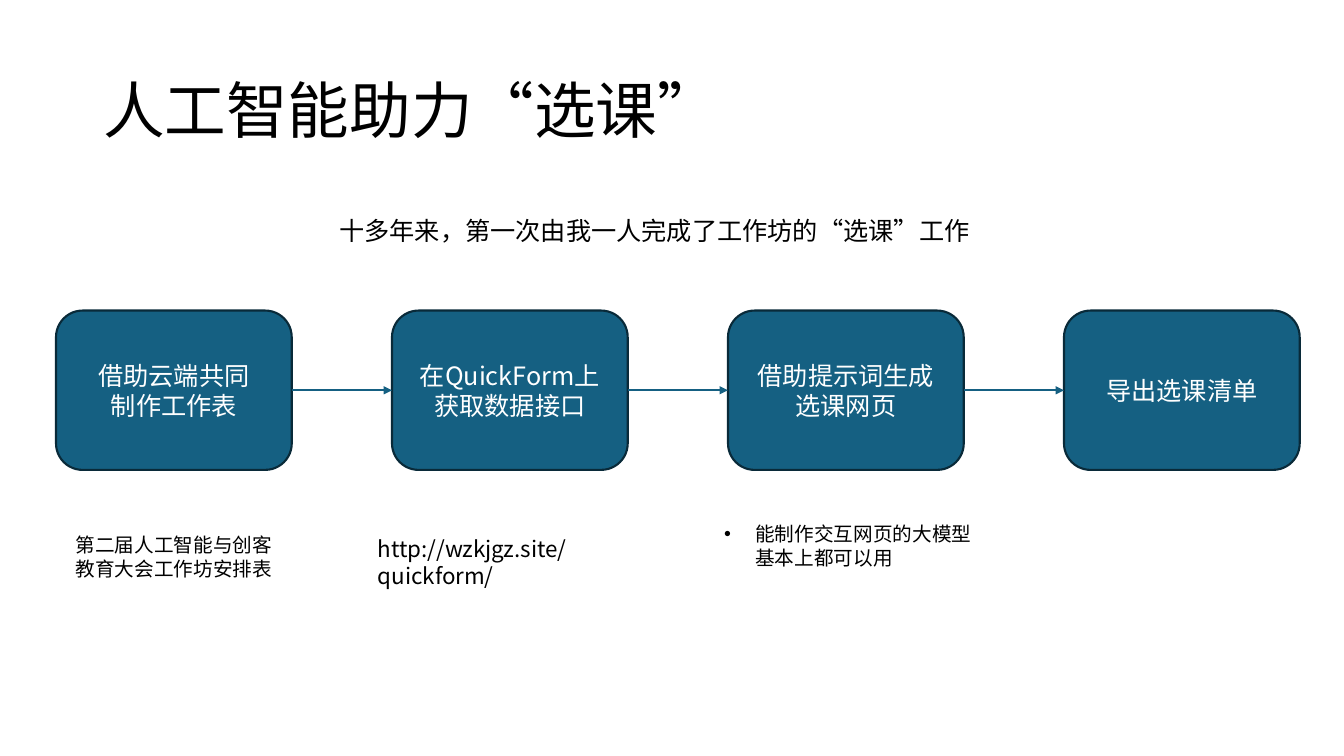
"""Build a slide showing the four steps of AI-assisted course selection."""
import lxml.etree
import pptx
import pptx.dml.color
import pptx.enum.shapes
import pptx.enum.text
import pptx.oxml.ns
import pptx.util

COLORS = {"fill": "156082", "outline": "092A39", "light": "FFFFFF", "dark": "000000"}
ALIGN = pptx.enum.text.PP_ALIGN
ANCHOR = pptx.enum.text.MSO_ANCHOR
FIT = pptx.enum.text.MSO_AUTO_SIZE


def color(name):
    return pptx.dml.color.RGBColor.from_string(COLORS[name])


def add_element(parent, tag, **attributes):
    return lxml.etree.SubElement(parent, pptx.oxml.ns.qn(tag), **attributes)


class SlideBuilder:
    """Places styled elements on a grid of 24 columns and 24 rows."""

    font_name = "Noto Sans CJK SC"
    divisions = 24
    line_width = pptx.util.Pt(1.5)

    def __init__(self, presentation):
        self.column = presentation.slide_width / self.divisions
        self.row = presentation.slide_height / self.divisions
        self.slide = presentation.slides.add_slide(presentation.slide_layouts[1])

    def area(self, left, top, width, height):
        return (round(left * self.column), round(top * self.row),
                round(width * self.column), round(height * self.row))

    def add_text(self, shape, lines, size, ink="dark", align=ALIGN.LEFT, anchor=ANCHOR.TOP, fit=FIT.NONE):
        frame = shape.text_frame
        frame.word_wrap = True
        frame.auto_size = fit
        frame.vertical_anchor = anchor
        for index, line in enumerate(lines):
            paragraph = frame.add_paragraph() if index else frame.paragraphs[0]
            paragraph.alignment = align
            paragraph.space_before = pptx.util.Pt(0)
            run = paragraph.add_run()
            run.text = line
            run.font.size = pptx.util.Pt(size)
            run.font.color.rgb = color(ink)
            run.font.name = self.font_name
            add_element(run.font._element, "a:ea", typeface=self.font_name)

    def move(self, shape, area):
        shape.left, shape.top, shape.width, shape.height = self.area(*area)

    def title(self, text, area):
        shape = self.slide.shapes.title
        self.move(shape, area)
        self.add_text(shape, [text], 44, anchor=ANCHOR.MIDDLE)
        shape.text_frame.paragraphs[0].line_spacing = 0.9

    def bullet_list(self, text, area, size):
        shape = self.slide.placeholders[1]
        self.move(shape, area)
        indent = pptx.util.Inches(0.31)
        properties = shape.text_frame.paragraphs[0]._p.get_or_add_pPr()
        properties.set("marL", str(indent))
        properties.set("indent", str(-indent))
        add_element(properties, "a:buFont", typeface="Arial")
        add_element(properties, "a:buChar", char="•")
        self.add_text(shape, [text], size, fit=FIT.SHAPE_TO_FIT_TEXT)

    def note(self, text, area, size, align=ALIGN.CENTER):
        shape = self.slide.shapes.add_textbox(*self.area(*area))
        self.add_text(shape, [text], size, align=align, fit=FIT.SHAPE_TO_FIT_TEXT)

    def step(self, lines, area):
        shape = self.slide.shapes.add_shape(
            pptx.enum.shapes.MSO_SHAPE.ROUNDED_RECTANGLE, *self.area(*area))
        shape.shadow.inherit = False
        shape.fill.solid()
        shape.fill.fore_color.rgb = color("fill")
        shape.line.color.rgb = color("outline")
        shape.line.width = self.line_width
        self.add_text(shape, lines, 18, "light", ALIGN.CENTER, ANCHOR.MIDDLE)
        return shape

    def arrow(self, source, target):
        connector = self.slide.shapes.add_connector(
            pptx.enum.shapes.MSO_CONNECTOR.STRAIGHT, 0, 0, 0, 0)
        connector.begin_connect(source, 3)
        connector.end_connect(target, 1)
        connector.line.color.rgb = color("fill")
        connector.line.width = self.line_width
        add_element(connector.line._get_or_add_ln(), "a:tailEnd", type="triangle")
        add_element(connector._element.spPr, "a:effectLst")


def main():
    presentation = pptx.Presentation()
    presentation.slide_width = pptx.util.Inches(13.33)
    presentation.slide_height = pptx.util.Inches(7.5)
    builder = SlideBuilder(presentation)

    builder.title("人工智能助力“选课”", (1.66, 1.28, 20.7, 4.64))
    step_lines = [
        ["借助云端共同", "制作工作表"],
        ["在QuickForm上", "获取数据接口"],
        ["借助提示词生成选课网页"],
        ["导出选课清单"],
    ]
    steps = [builder.step(lines, (1 + 6 * index, 9.86, 4.21, 5.06))
             for index, lines in enumerate(step_lines)]
    for source, target in zip(steps, steps[1:]):
        builder.arrow(source, target)

    builder.note("十多年来，第一次由我一人完成了工作坊的“选课”工作", (5.51, 6.69, 12.35, 1.28), 18)
    builder.bullet_list("能制作交互网页的大模型基本上都可以用", (12.75, 16.42, 4.88, 1.82), 14)
    builder.note("http://wzkjgz.site/quickform/", (6.57, 16.83, 5.53, 1.18), 16, ALIGN.LEFT)
    builder.note("第二届人工智能与创客教育大会工作坊安排表", (1, 16.77, 4.21, 1.82), 14)
    presentation.save("out.pptx")


if __name__ == "__main__":
    main()
